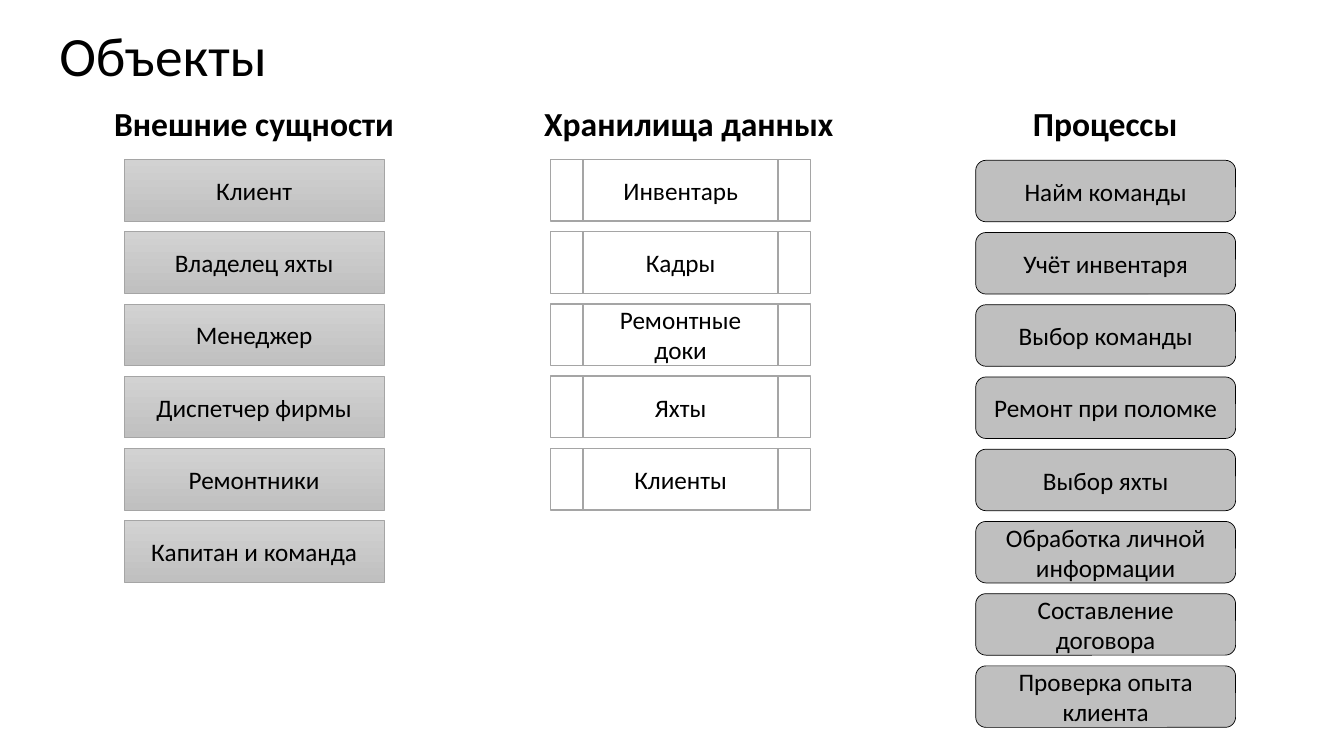
from pptx import Presentation
from pptx.dml.color import RGBColor
from pptx.enum.shapes import MSO_SHAPE
from pptx.enum.text import MSO_ANCHOR, MSO_AUTO_SIZE, PP_ALIGN
from pptx.util import Cm, Pt

ENTITY = MSO_SHAPE.RECTANGLE
STORE = MSO_SHAPE.FLOWCHART_PREDEFINED_PROCESS
PROCESS = MSO_SHAPE.ROUNDED_RECTANGLE
MIDDLE, BOTTOM, TOP = MSO_ANCHOR.MIDDLE, MSO_ANCHOR.BOTTOM, MSO_ANCHOR.TOP
LEFT, CENTER = PP_ALIGN.LEFT, PP_ALIGN.CENTER
NO_AUTOFIT = MSO_AUTO_SIZE.NONE

BLACK = RGBColor(0x00, 0x00, 0x00)
WHITE = RGBColor(0xFF, 0xFF, 0xFF)
GREY = RGBColor(0xBF, 0xBF, 0xBF)
OUTLINE = RGBColor(0xA5, 0xA5, 0xA5)
GRADIENT_TOP = RGBColor(0xD2, 0xD2, 0xD2)
GRADIENT_BOTTOM = RGBColor(0xC0, 0xC0, 0xC0)

BOX_WIDTH, BOX_HEIGHT, ROW_PITCH = 6.55, 1.55, 1.82


def place(part, left, top, width, height):
    part.left, part.top = Cm(left), Cm(top)
    part.width, part.height = Cm(width), Cm(height)


def write(part, text, size, align, anchor, bold=False, spacing=1.0, before=0):
    frame = part.text_frame
    frame.word_wrap = True
    frame.auto_size = NO_AUTOFIT
    frame.vertical_anchor = anchor
    paragraph = frame.paragraphs[0]
    paragraph.alignment = align
    paragraph.line_spacing = spacing
    paragraph.space_before = Pt(before)
    run = paragraph.add_run()
    run.text = text
    run.font.name = "Calibri"
    run.font.size = Pt(size)
    run.font.bold = bold
    run.font.color.rgb = BLACK


prs = Presentation()
prs.slide_width, prs.slide_height = Cm(33.87), Cm(19.05)
slide = prs.slides.add_slide(prs.slide_layouts[4])
title, entities_heading, entities_body, stores_heading, stores_body = slide.placeholders
for unused in (entities_body, stores_body):
    unused.element.getparent().remove(unused.element)

place(title, 1.24, 0.71, 30.23, 1.55)
write(title, "Объекты", 39.6, LEFT, MIDDLE, spacing=0.9)

place(entities_heading, 2.62, 1.45, 14.33, 2.29)
write(entities_heading, "Внешние сущности", 24, LEFT, BOTTOM, True, 0.9, 10)
place(stores_heading, 13.46, 1.45, 14.4, 2.29)
write(stores_heading, "Хранилища данных", 24, LEFT, BOTTOM, True, 0.9, 10)
processes_heading = slide.shapes.add_textbox(Cm(25.78), Cm(2.59), Cm(4.19), Cm(1.17))
write(processes_heading, "Процессы", 24, LEFT, TOP, True, 0.9, 10)

columns = [
    (ENTITY, 3.13, 4.02, None, OUTLINE, 0.5,
     ["Клиент", "Владелец яхты", "Менеджер", "Диспетчер фирмы",
      "Ремонтники", "Капитан и команда"]),
    (PROCESS, 24.59, 4.04, GREY, BLACK, 0.5,
     ["Найм команды", "Учёт инвентаря", "Выбор команды", "Ремонт при поломке",
      "Выбор яхты", "Обработка личной информации", "Составление договора",
      "Проверка опыта клиента"]),
    (STORE, 13.88, 4.02, WHITE, OUTLINE, 1,
     ["Инвентарь", "Кадры", "Ремонтные доки", "Яхты", "Клиенты"]),
]

for kind, left, top, fill_color, line_color, line_width, names in columns:
    for row, name in enumerate(names):
        box = slide.shapes.add_shape(
            kind, Cm(left), Cm(top + row * ROW_PITCH), Cm(BOX_WIDTH), Cm(BOX_HEIGHT))
        box.shadow.inherit = False
        if fill_color is None:
            box.fill.gradient()
            box.fill.gradient_angle = 270
            first_stop, last_stop = box.fill.gradient_stops
            first_stop.color.rgb = GRADIENT_TOP
            last_stop.color.rgb = GRADIENT_BOTTOM
        else:
            box.fill.solid()
            box.fill.fore_color.rgb = fill_color
        box.line.color.rgb = line_color
        box.line.width = Pt(line_width)
        write(box, name, 18, CENTER, MIDDLE)

prs.save("out.pptx")
